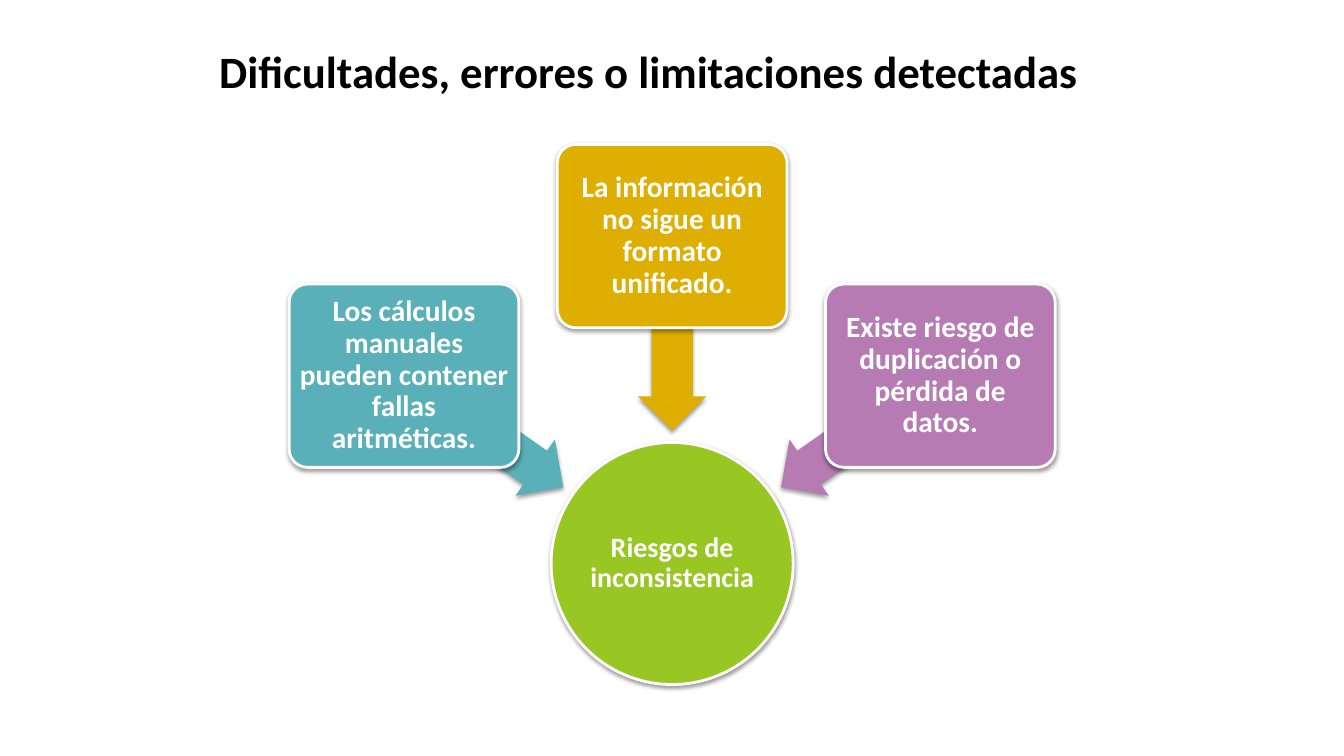
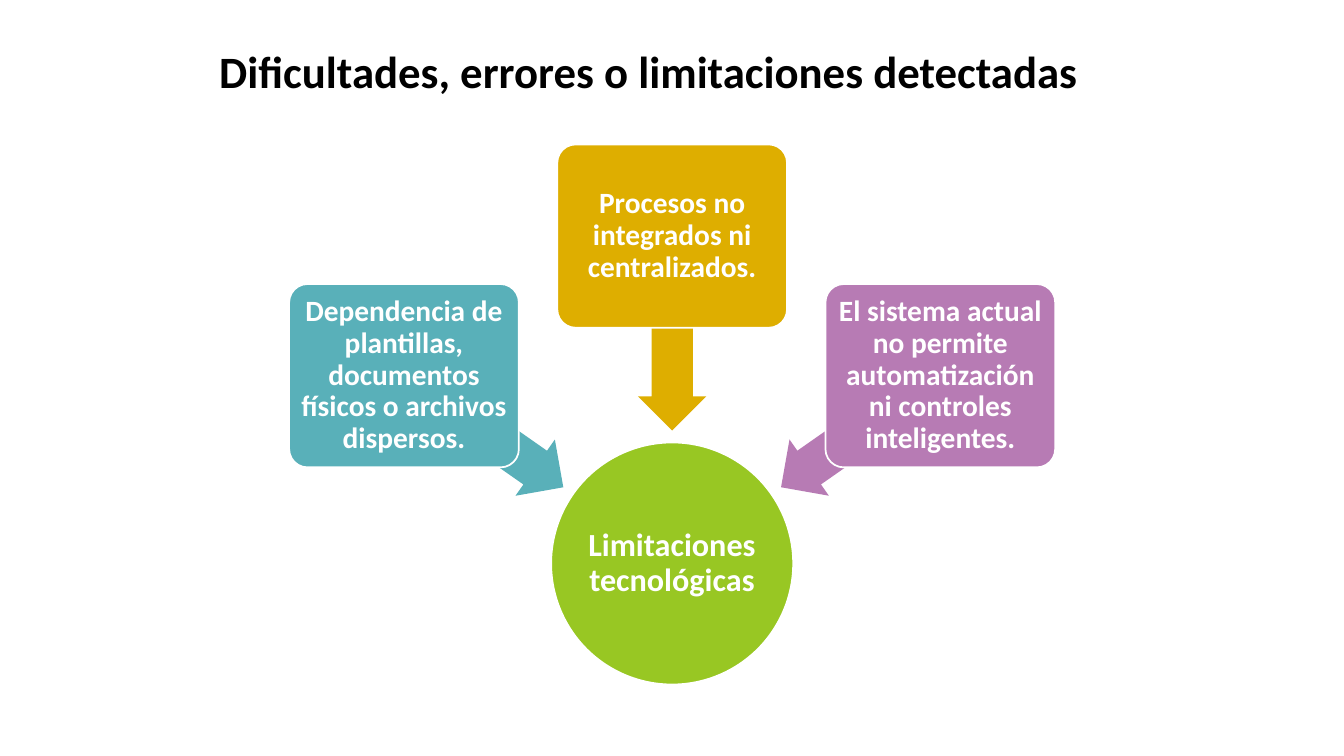
"""Two convergence diagrams about the difficulties that were detected."""
from dataclasses import dataclass
from math import cos, radians, sin

from lxml.etree import SubElement
from pptx import Presentation
from pptx.dml.color import RGBColor
from pptx.enum.shapes import MSO_SHAPE as Preset
from pptx.enum.text import MSO_ANCHOR as Anchor, PP_ALIGN as Align
from pptx.oxml.ns import qn
from pptx.shapes.autoshape import Shape
from pptx.slide import Slide
from pptx.text.text import TextFrame
from pptx.util import Cm, Pt

FONT = "Calibri"
BLACK, WHITE, GREEN = "000000", "FFFFFF", "98C723"
TITLE = "Dificultades, errores o limitaciones detectadas"
HUB_X, HUB_Y, HUB_SIZE = 16.94, 14.2, 6.1
BOX_WIDTH, BOX_HEIGHT, BOX_DISTANCE = 5.79, 4.62, 8.25
ARROW_LENGTH, ARROW_WIDTH, ARROW_DISTANCE = 4.9, 1.73, 5.8


@dataclass(frozen=True)
class Spoke:
    """Direction from the hub, in degrees, and colour of a cause."""

    angle: int
    color: str


@dataclass(frozen=True)
class Diagram:
    """Content and finish of one slide."""

    hub: str
    hub_size: int
    causes: tuple[str, str, str]
    border: float
    shadow: bool


SPOKES = (Spoke(215, "59B0B9"), Spoke(270, "DEAE00"), Spoke(325, "B77BB4"))
DIAGRAMS = (
    Diagram(
        "Riesgos de inconsistencia",
        20,
        (
            "Los cálculos manuales pueden contener fallas aritméticas.",
            "La información no sigue un formato unificado.",
            "Existe riesgo de duplicación o pérdida de datos.",
        ),
        2,
        True,
    ),
    Diagram(
        "Limitaciones tecnológicas",
        23,
        (
            "Dependencia de plantillas, documentos físicos o archivos dispersos.",
            "Procesos no integrados ni centralizados.",
            "El sistema actual no permite automatización ni controles inteligentes.",
        ),
        1.25,
        False,
    ),
)


def rgb(color: str) -> RGBColor:
    """Turn a hex string into a colour."""
    return RGBColor.from_string(color)


def write(frame: TextFrame, text: str, size: int, color: str, margin: float, spacing: float) -> None:
    """Write one bold, centred paragraph into a text frame."""
    frame.word_wrap = True
    frame.vertical_anchor = Anchor.MIDDLE
    frame.margin_left = frame.margin_right = Cm(margin)
    frame.margin_top = frame.margin_bottom = Cm(margin)
    paragraph = frame.paragraphs[0]
    paragraph.text = text
    paragraph.alignment = Align.CENTER
    paragraph.line_spacing = spacing
    font = paragraph.font
    font.name, font.size, font.bold = FONT, Pt(size), True
    font.color.rgb = rgb(color)


def add_shadow(shape: Shape) -> None:
    """Give a shape a soft shadow below it."""
    effects = shape._element.spPr.find(qn("a:effectLst"))
    shadow = SubElement(
        effects, qn("a:outerShdw"), blurRad="40000", dist="20000", dir="5400000", rotWithShape="0"
    )
    color = SubElement(shadow, qn("a:srgbClr"), val=BLACK)
    SubElement(color, qn("a:alpha"), val="38000")


def add_part(
    slide: Slide, preset: Preset, angle: float, distance: float,
    width: float, height: float, color: str, diagram: Diagram,
) -> Shape:
    """Add a filled shape centred at a polar position around the hub."""
    center_x = HUB_X + distance * cos(radians(angle))
    center_y = HUB_Y + distance * sin(radians(angle))
    shape = slide.shapes.add_shape(
        preset, Cm(center_x - width / 2), Cm(center_y - height / 2), Cm(width), Cm(height)
    )
    shape.fill.solid()
    shape.fill.fore_color.rgb = rgb(color)
    shape.line.fill.background()
    shape.shadow.inherit = False
    if diagram.shadow:
        add_shadow(shape)
    return shape


def add_border(shape: Shape, width: float) -> None:
    """Outline a shape in white."""
    shape.line.color.rgb = rgb(WHITE)
    shape.line.width = Pt(width)


def add_title(slide: Slide) -> None:
    """Add the title shared by the slides."""
    box = slide.shapes.add_textbox(Cm(1.55), Cm(0.86), Cm(29.6), Cm(1.85))
    write(box.text_frame, TITLE, 32, BLACK, 0.2, 1.0)


def add_hub(slide: Slide, diagram: Diagram) -> None:
    """Add the circle where the arrows meet."""
    hub = add_part(slide, Preset.OVAL, 0, 0, HUB_SIZE, HUB_SIZE, GREEN, diagram)
    add_border(hub, diagram.border)
    write(hub.text_frame, diagram.hub, diagram.hub_size, WHITE, 0.03, 0.9)


def add_cause(slide: Slide, spoke: Spoke, text: str, diagram: Diagram) -> None:
    """Add a cause box and its arrow towards the hub."""
    arrow = add_part(
        slide, Preset.LEFT_ARROW, spoke.angle, ARROW_DISTANCE,
        ARROW_LENGTH, ARROW_WIDTH, spoke.color, diagram,
    )
    arrow.rotation = spoke.angle
    arrow.adjustments[0], arrow.adjustments[1] = 0.6, 0.5
    box = add_part(
        slide, Preset.ROUNDED_RECTANGLE, spoke.angle, BOX_DISTANCE,
        BOX_WIDTH, BOX_HEIGHT, spoke.color, diagram,
    )
    box.adjustments[0] = 0.1
    add_border(box, diagram.border)
    write(box.text_frame, text, 21, WHITE, 0.1, 0.9)


def main() -> None:
    """Build and save the presentation."""
    presentation = Presentation()
    presentation.slide_width, presentation.slide_height = Cm(33.87), Cm(19.05)
    for diagram in DIAGRAMS:
        slide = presentation.slides.add_slide(presentation.slide_layouts[6])
        add_title(slide)
        add_hub(slide, diagram)
        for spoke, cause in zip(SPOKES, diagram.causes):
            add_cause(slide, spoke, cause, diagram)
    presentation.save("out.pptx")


if __name__ == "__main__":
    main()
